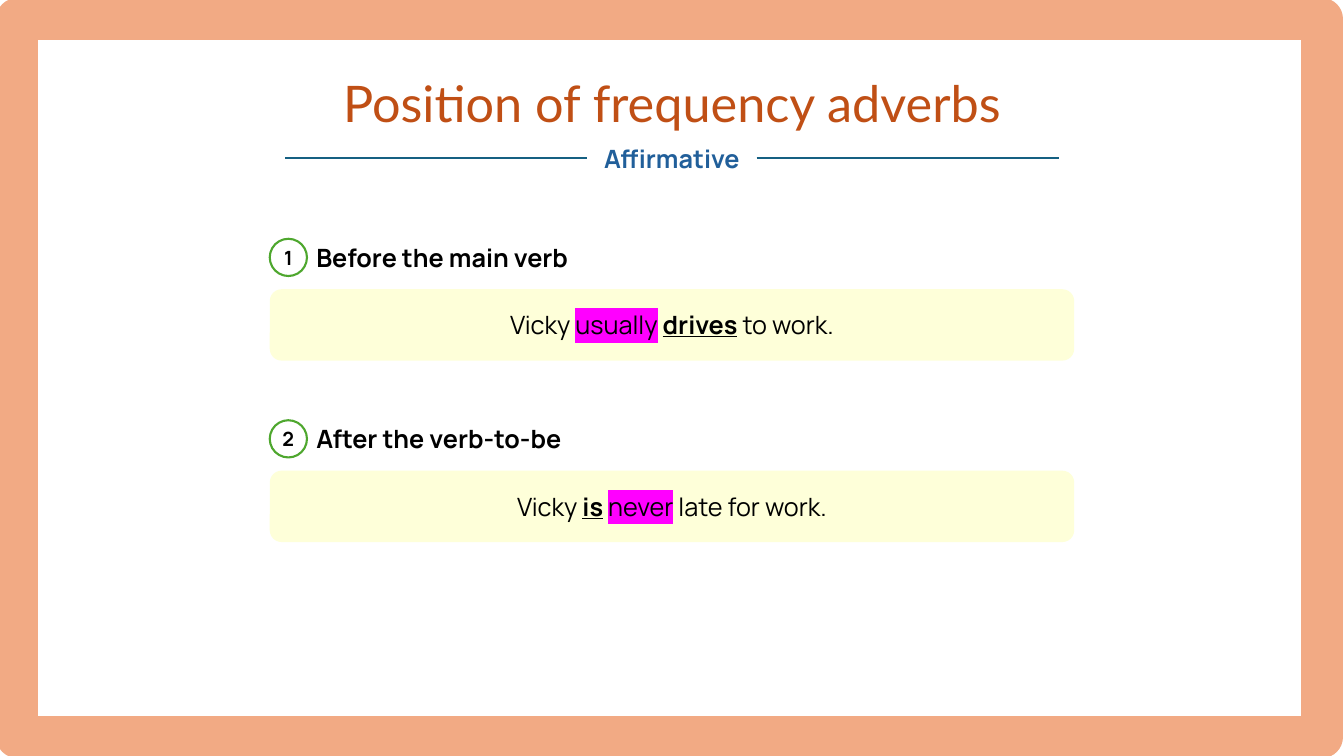
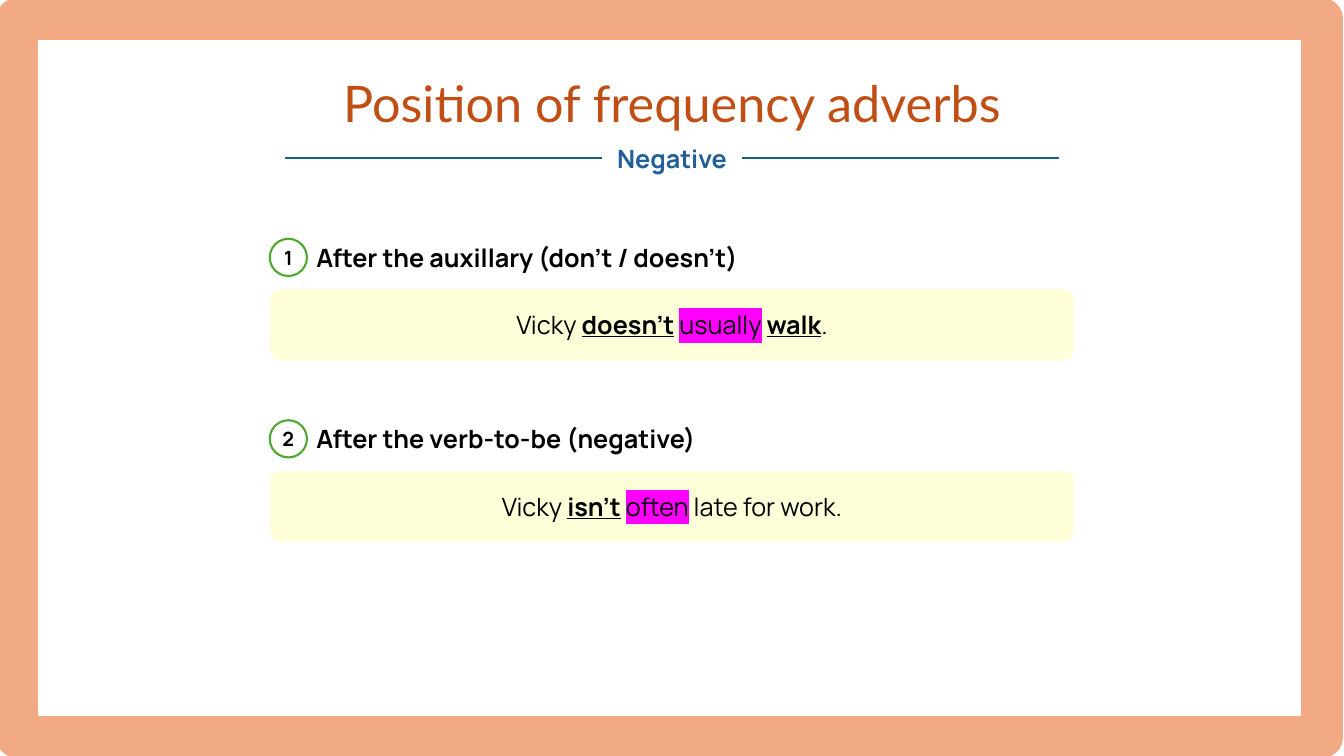
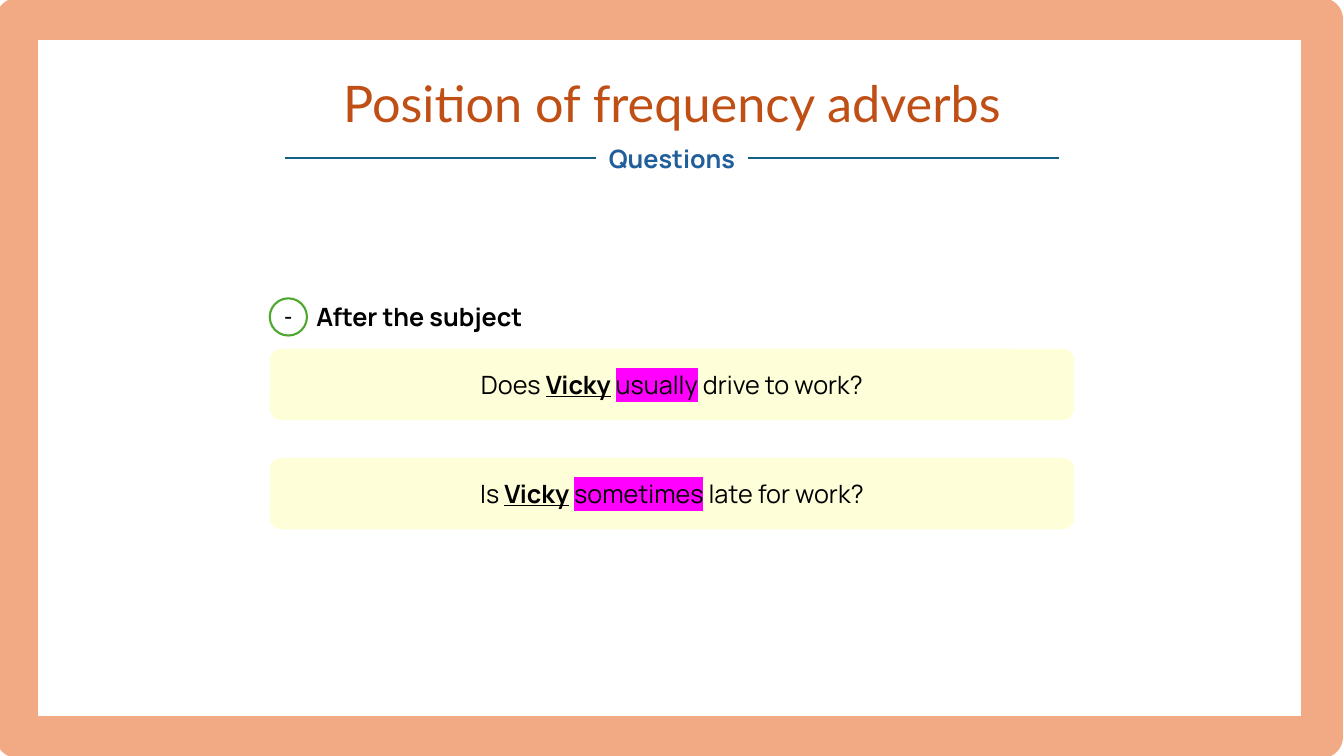
from dataclasses import dataclass

import pptx
import pptx.dml.color
import pptx.enum.shapes
import pptx.enum.text
import pptx.oxml
import pptx.oxml.ns
import pptx.util

Pt = pptx.util.Pt
Shapes = pptx.enum.shapes.MSO_SHAPE
Align = pptx.enum.text.PP_ALIGN
Anchor = pptx.enum.text.MSO_ANCHOR


@dataclass(frozen=True)
class Theme:
    frame: str = "F2AA84"
    title: str = "C04F15"
    subtitle: str = "215F9A"
    divider: str = "156082"
    card: str = "FEFFD9"
    badge: str = "FFFFFF"
    badge_line: str = "4EA72E"
    ink: str = "000000"
    marker: str = "FF00FF"
    title_font: str = "Lato"
    body_font: str = "Manrope"
    title_size: float = 36
    body_size: float = 18
    badge_size: float = 14
    frame_width: float = 30
    line_width: float = 1.5


@dataclass(frozen=True)
class Box:
    left: float
    top: float
    width: float
    height: float

    def lengths(self):
        return Pt(self.left), Pt(self.top), Pt(self.width), Pt(self.height)


THEME = Theme()
SLIDE_WIDTH, SLIDE_HEIGHT = 960, 540
FRAME = Box(12.2, 13.7, 932.4, 512.6)
HEADER = Box(192.7, 48.2, 574.6, 79.4)
CARD_HEIGHT = 51
CARD_DROP = 36
BADGE = 26.6
RULE_PITCH = 129.6
CARD_PITCH = 78

TITLE = "Position of frequency adverbs"
STRONG = {"bold": True, "underline": True}
ADVERB = {"highlight": THEME.marker}


def rgb(value):
    return pptx.dml.color.RGBColor.from_string(value)


def set_highlight(run, color):
    """Mark a run whose font colour is already set."""
    highlight = pptx.oxml.parse_xml(
        f'<a:highlight {pptx.oxml.ns.nsdecls("a")}><a:srgbClr val="{color}"/></a:highlight>')
    fill = run.font._element.find(pptx.oxml.ns.qn("a:solidFill"))
    fill.addnext(highlight)


def add_run(paragraph, text, size=THEME.body_size, color=THEME.ink, font=THEME.body_font,
            bold=False, underline=False, highlight=None):
    run = paragraph.add_run()
    run.text = text
    run.font.size = Pt(size)
    run.font.bold = bold
    run.font.underline = underline
    run.font.color.rgb = rgb(color)
    run.font.name = font
    if highlight:
        set_highlight(run, highlight)


def write_text(shape, text, align=Align.CENTER, anchor=Anchor.TOP, wrap=True, inset=None,
               **run_format):
    """Fill a shape with one paragraph; text is a string or a list of (text, format) parts."""
    frame = shape.text_frame
    frame.word_wrap = wrap
    frame.vertical_anchor = anchor
    if inset is not None:
        frame.margin_left = frame.margin_right = Pt(inset)
        frame.margin_top = frame.margin_bottom = Pt(inset)
    paragraph = frame.paragraphs[0]
    paragraph.alignment = align
    parts = [(text, {})] if isinstance(text, str) else text
    for part, part_format in parts:
        add_run(paragraph, part, **{**run_format, **part_format})


def add_text(slide, box, text, **text_format):
    write_text(slide.shapes.add_textbox(*box.lengths()), text, **text_format)


def add_shape(slide, kind, box, fill=None, line=None, line_width=THEME.line_width):
    shape = slide.shapes.add_shape(kind, *box.lengths())
    shape.shadow.inherit = False
    if fill:
        shape.fill.solid()
        shape.fill.fore_color.rgb = rgb(fill)
    else:
        shape.fill.background()
    if line:
        shape.line.color.rgb = rgb(line)
        shape.line.width = Pt(line_width)
    else:
        shape.line.fill.background()
    return shape


def add_divider(slide, start, end, y):
    connector = slide.shapes.add_connector(
        pptx.enum.shapes.MSO_CONNECTOR.STRAIGHT, Pt(start), Pt(y), Pt(end), Pt(y))
    connector.line.color.rgb = rgb(THEME.divider)
    connector.line.width = Pt(THEME.line_width)
    connector._element.spPr.append(
        pptx.oxml.parse_xml(f'<a:effectLst {pptx.oxml.ns.nsdecls("a")}/>'))


def add_header(slide, box, subtitle, subtitle_width):
    """Title above a subtitle set between two equal lines."""
    title_height, margin = 51, 11
    add_text(slide, Box(box.left, box.top, box.width, title_height), TITLE, wrap=False,
             size=THEME.title_size, color=THEME.title, font=THEME.title_font)
    subtitle_left = box.left + (box.width - subtitle_width) / 2
    subtitle_top = box.top + title_height - 0.6
    subtitle_box = Box(subtitle_left, subtitle_top, subtitle_width, 29)
    add_text(slide, subtitle_box, subtitle, wrap=False, color=THEME.subtitle, bold=True)
    line_y = subtitle_top + subtitle_box.height / 2
    add_divider(slide, box.left + margin, subtitle_left, line_y)
    add_divider(slide, subtitle_left + subtitle_width, box.left + box.width - margin, line_y)


def add_rule(slide, box, label, heading, sentences):
    """Badge and heading, with one card for each example sentence below."""
    for index, sentence in enumerate(sentences):
        card_box = Box(box.left, box.top + CARD_DROP + index * CARD_PITCH, box.width, CARD_HEIGHT)
        card = add_shape(slide, Shapes.ROUNDED_RECTANGLE, card_box, fill=THEME.card)
        write_text(card, sentence, anchor=Anchor.MIDDLE)
    badge = add_shape(slide, Shapes.OVAL, Box(box.left, box.top, BADGE, BADGE),
                      fill=THEME.badge, line=THEME.badge_line)
    write_text(badge, label, anchor=Anchor.MIDDLE, wrap=False, inset=0,
               size=THEME.badge_size, bold=True)
    heading_box = Box(box.left + BADGE - 0.4, box.top - 1.4, box.width - 110, 29)
    add_text(slide, heading_box, heading, align=Align.LEFT, bold=True)


def add_grammar_slide(presentation, subtitle, subtitle_width, rules_top, rules):
    slide = presentation.slides.add_slide(presentation.slide_layouts[6])
    add_shape(slide, Shapes.RECTANGLE, FRAME, line=THEME.frame, line_width=THEME.frame_width)
    add_header(slide, HEADER, subtitle, subtitle_width)
    for index, rule in enumerate(rules):
        box = Box(HEADER.left, rules_top + index * RULE_PITCH, HEADER.width, RULE_PITCH)
        add_rule(slide, box, *rule)


SLIDES = [
    ("Affirmative", 121, 170.6, [
        ("1", "Before the main verb", [
            [("Vicky ", {}), ("usually", ADVERB), (" ", {}), ("drives", STRONG),
             (" to work.", {})]]),
        ("2", "After the verb-to-be", [
            [("Vicky ", {}), ("is", STRONG), (" ", {}), ("never", ADVERB),
             (" late for work.", {})]]),
    ]),
    ("Negative", 99.4, 170.6, [
        ("1", "After the auxillary (don’t / doesn’t)", [
            [("Vicky ", {}), ("doesn’t", STRONG), (" ", {}), ("usually", ADVERB),
             (" ", {}), ("walk", STRONG), (".", {})]]),
        ("2", "After the verb-to-be (negative)", [
            [("Vicky ", {}), ("isn’t", STRONG), (" ", {}), ("often", ADVERB),
             (" late for work.", {})]]),
    ]),
    ("Questions", 108.7, 213.1, [
        ("-", "After the subject", [
            [("Does ", {}), ("Vicky", STRONG), (" ", {}), ("usually", ADVERB),
             (" drive to work?", {})],
            [("Is ", {}), ("Vicky", STRONG), (" ", {}), ("sometimes", ADVERB),
             (" late for work?", {})]]),
    ]),
]


def main():
    presentation = pptx.Presentation()
    presentation.slide_width = Pt(SLIDE_WIDTH)
    presentation.slide_height = Pt(SLIDE_HEIGHT)
    for content in SLIDES:
        add_grammar_slide(presentation, *content)
    presentation.save("out.pptx")


if __name__ == "__main__":
    main()
